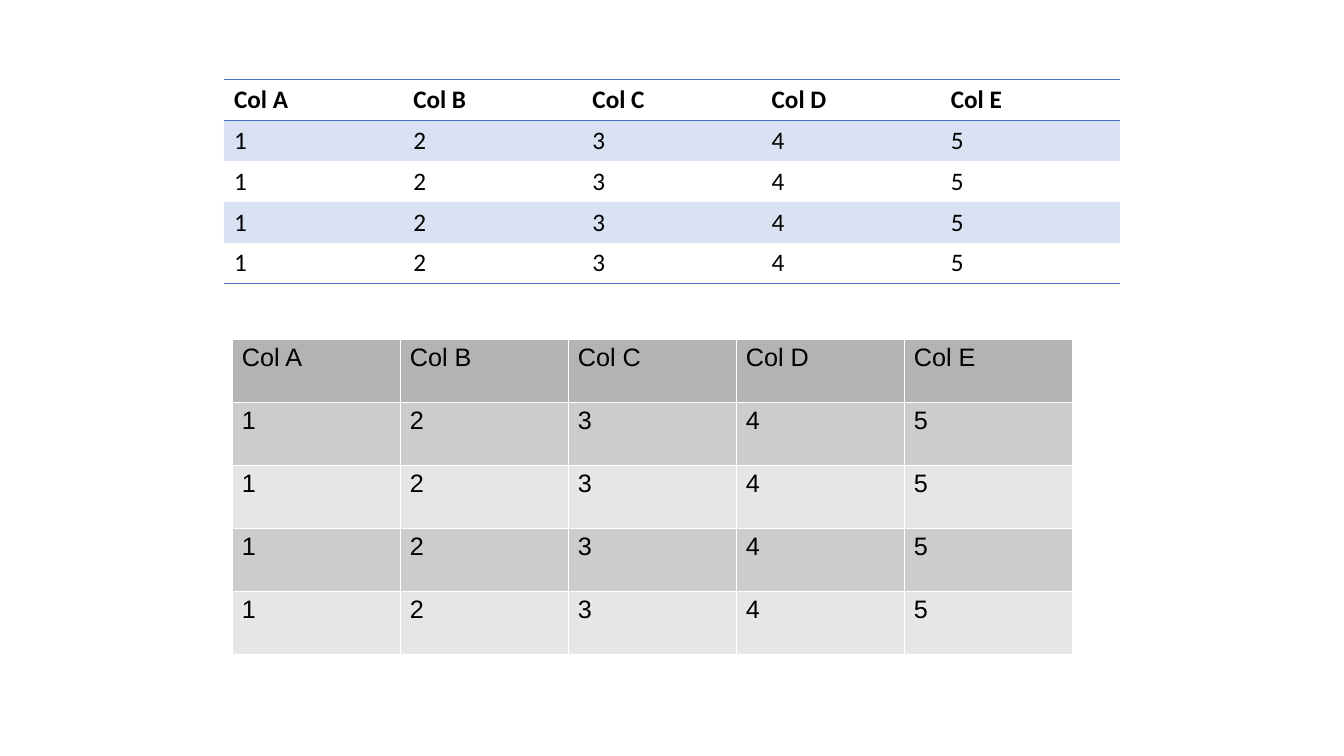
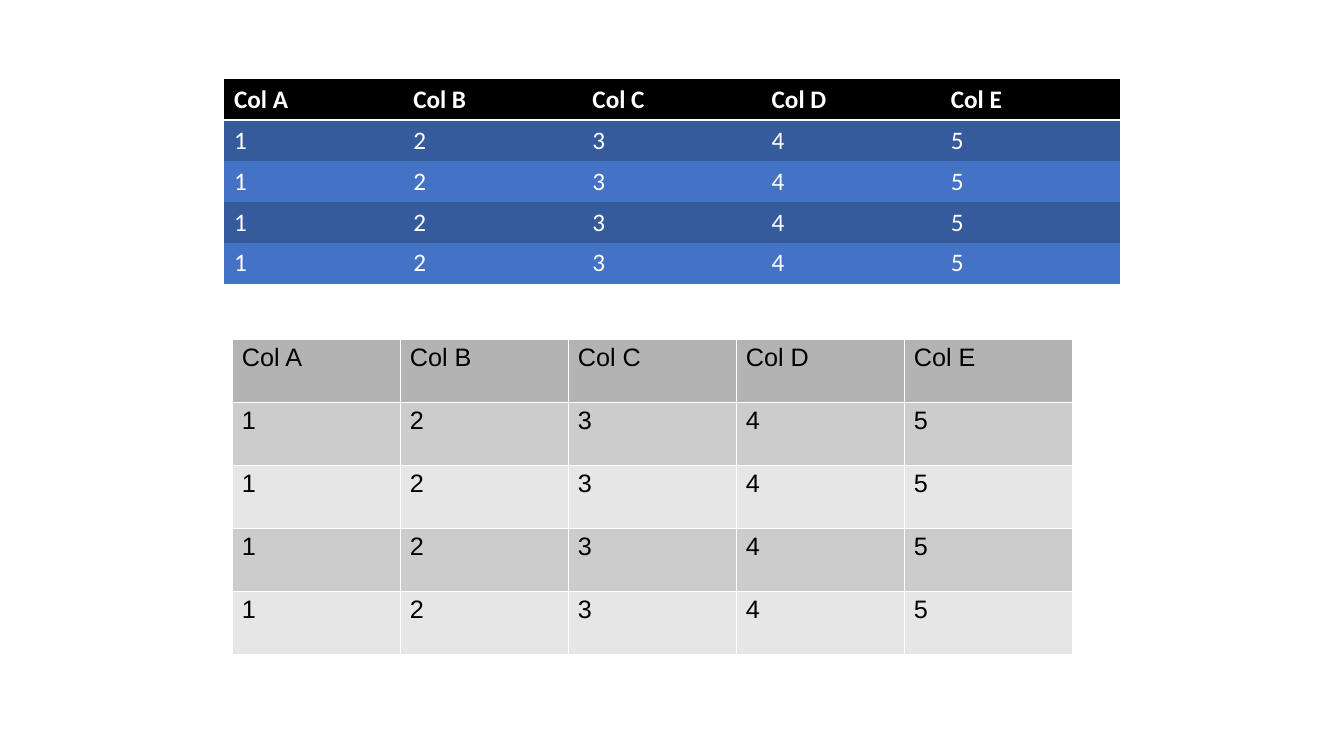
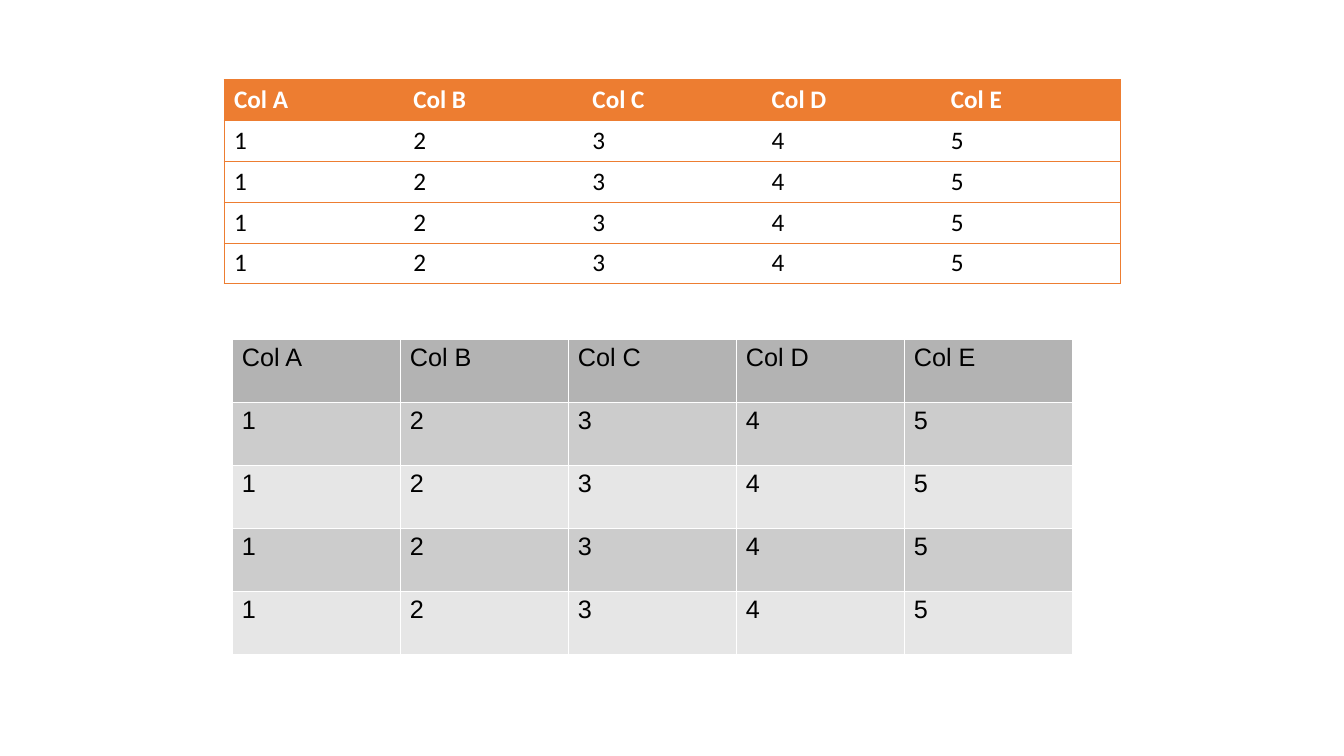
from lxml import etree
from pptx import Presentation, util as u
from pptx.dml.color import RGBColor
from pptx.enum import text
from pptx.oxml.ns import qn

BLACK = RGBColor(0x00, 0x00, 0x00)
WHITE = RGBColor(0xFF, 0xFF, 0xFF)
BLUE = RGBColor(0x44, 0x72, 0xC4)
DEEP_BLUE = RGBColor(0x36, 0x5B, 0x9C)
ORANGE = RGBColor(0xED, 0x7D, 0x31)
GREY_HEAD = RGBColor(0xB3, 0xB3, 0xB3)
GREY_DARK = RGBColor(0xCC, 0xCC, 0xCC)
GREY_LIGHT = RGBColor(0xE6, 0xE6, 0xE6)

PLAIN_TABLE = "{2D5ABB26-0587-4C30-8999-92F81FD0307C}"
ROWS = [[f"Col {c}" for c in "ABCDE"]] + [list("12345")] * 4
LAST = len(ROWS) - 1

prs = Presentation()
prs.slide_width, prs.slide_height = u.Inches(13.33), u.Inches(7.5)
W, H = prs.slide_width, prs.slide_height

# Places as shares of the slide: left, top, column width, row height
UPPER = dict(x=1 / 6, y=0.105, col=2 / 15, row=0.054,
             font="Calibri", bold_head=True, anchor=text.MSO_ANCHOR.MIDDLE)
LOWER = dict(x=0.17 + 0.0025, y=0.448, col=1 / 8, row=1 / 12,
             font="Arial", bold_head=False, anchor=text.MSO_ANCHOR.TOP)

# Fills are header, odd rows, even rows; edges map a row to its ruled sides
GREY = dict(LOWER, fills=(GREY_HEAD, GREY_DARK, GREY_LIGHT), inks=(BLACK, BLACK),
            line=WHITE, width=0.06, edges={i: "LRTB" for i in range(LAST + 1)})
LIGHT = dict(UPPER, fills=(None, BLUE, None), inks=(BLACK, BLACK), alpha=20,
             line=BLUE, width=0.96, edges={0: "TB", LAST: "B"})
DARK = dict(UPPER, fills=(BLACK, DEEP_BLUE, BLUE), inks=(WHITE, WHITE),
            line=WHITE, width=1.98, edges={0: "B"})
RULED = dict(UPPER, fills=(ORANGE, None, None), inks=(WHITE, BLACK),
             line=ORANGE, width=0.5, edges={i: "TB" for i in range(LAST + 1)}, box=True)


def add_border(cell, side, color, width):
    ln = etree.SubElement(cell._tc.get_or_add_tcPr(), qn(f"a:ln{side}"),
                          w=str(int(u.Pt(width))))
    fill = etree.SubElement(ln, qn("a:solidFill"))
    etree.SubElement(fill, qn("a:srgbClr"), val=str(color))


def add_grid(s, f):
    n = len(ROWS[0])
    frame = s.shapes.add_table(len(ROWS), n, int(f["x"] * W), int(f["y"] * H),
                               int(f["col"] * n * W), int(f["row"] * len(ROWS) * H))
    tbl = frame.table
    tbl._tbl.tblPr.find(qn("a:tableStyleId")).text = PLAIN_TABLE
    for i, row in enumerate(ROWS):
        tbl.rows[i].height = int(f["row"] * H)
        color = f["fills"][0 if i == 0 else 2 - i % 2]
        for j, value in enumerate(row):
            cell = tbl.cell(i, j)
            cell.vertical_anchor = f["anchor"]

            # Borders come before the fill in the cell's properties
            sides = f["edges"].get(i, "")
            if f.get("box"):
                sides = "L" * (j == 0) + "R" * (j == n - 1) + sides
            for side in sides:
                add_border(cell, side, f["line"], f["width"])
            if color is None:
                cell.fill.background()
            else:
                cell.fill.solid()
                cell.fill.fore_color.rgb = color
                if "alpha" in f:
                    clr = cell._tc.tcPr.find(qn("a:solidFill"))[0]
                    etree.SubElement(clr, qn("a:alpha"), val=str(f["alpha"] * 1000))

            r = cell.text_frame.paragraphs[0].add_run()
            r.text = value
            look = dict(name=f["font"], size=u.Pt(18), bold=f["bold_head"] and i == 0)
            for key, setting in look.items():
                setattr(r.font, key, setting)
            r.font.color.rgb = f["inks"][min(i, 1)]


# One slide per upper style, each above the same grey table
for style in (LIGHT, DARK, RULED):
    s = prs.slides.add_slide(prs.slide_layouts[6])
    for f in (style, GREY):
        add_grid(s, f)

prs.save("out.pptx")
